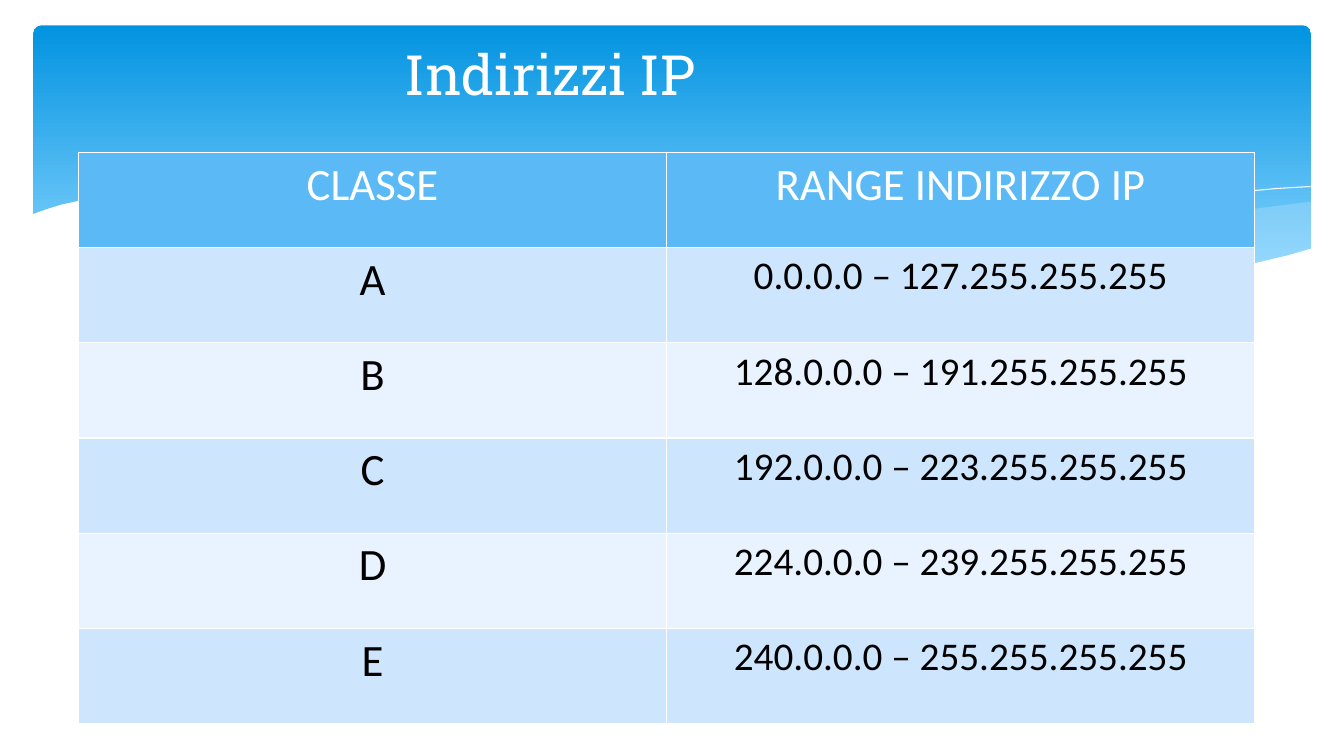
from dataclasses import dataclass
from typing import Optional

from lxml.etree import SubElement
from pptx import Presentation
from pptx.dml.color import RGBColor
from pptx.enum.shapes import MSO_SHAPE as Preset
from pptx.enum.text import MSO_ANCHOR as Anchor, PP_ALIGN as Align
from pptx.oxml import parse_xml
from pptx.oxml.ns import nsdecls, qn
from pptx.util import Cm, Pt

COLORS = {
    "white": "FFFFFF", "black": "000000", "banner_top": "0293E0",
    "banner_bottom": "83D3FE", "mist": "C6E7FC", "header": "5BBAF6",
    "odd_row": "CEE5FE", "even_row": "E8F3FF",
}
WAVE_UNIT = Cm(2.54) / 100  # wave points are hundredths of an inch


@dataclass
class Wave:
    points: list[tuple[int, int]]
    fill: Optional[str] = None
    opacity: int = 100


@dataclass
class AddressClass:
    letter: str
    ip_range: str


WAVES = [
    Wave([(1300, 200), (1246, 207), (1188, 216), (1110, 230), (1005, 248),
          (941, 257), (882, 265), (940, 271), (993, 275), (1041, 277),
          (1085, 278), (1126, 277), (1163, 274), (1196, 270), (1228, 265),
          (1257, 259), (1284, 252), (1301, 247), (1301, 200)], "mist", 29),
    Wave([(1190, 273), (1116, 265), (1034, 254), (941, 240), (839, 222),
          (778, 211), (721, 203), (669, 196), (619, 191), (560, 187),
          (506, 185), (459, 186), (418, 188), (382, 191), (431, 196),
          (483, 203), (539, 211), (599, 222), (706, 240), (802, 255),
          (887, 266), (963, 274), (1030, 277), (1090, 278), (1143, 277),
          (1190, 273)], "mist", 40),
    Wave([(412, 195), (438, 192), (470, 189), (516, 187), (577, 187),
          (625, 189), (680, 192), (742, 197), (811, 204), (886, 213),
          (970, 226), (1060, 241), (1158, 261), (1210, 272)]),
    Wave([(818, 257), (870, 246), (927, 235), (997, 223), (1075, 210),
          (1155, 199), (1213, 192), (1267, 187), (1300, 185)]),
    Wave([(1303, 246), (1279, 253), (1254, 259), (1227, 265), (1198, 269),
          (1167, 273), (1134, 275), (1097, 277), (1058, 276), (1015, 275),
          (969, 272), (918, 268), (863, 262), (804, 254), (740, 245),
          (671, 233), (596, 220), (521, 207), (453, 197), (390, 190),
          (333, 186), (282, 184), (235, 184), (194, 185), (158, 187),
          (127, 191), (101, 195), (79, 199), (61, 203), (48, 207),
          (31, 213), (31, 329), (1303, 329)], "white"),
]

ADDRESS_CLASSES = [
    AddressClass("A", "0.0.0.0 – 127.255.255.255"),
    AddressClass("B", "128.0.0.0 – 191.255.255.255"),
    AddressClass("C", "192.0.0.0 – 223.255.255.255"),
    AddressClass("D", "224.0.0.0 – 239.255.255.255"),
    AddressClass("E", "240.0.0.0 – 255.255.255.255"),
]


def rgb(name: str) -> RGBColor:
    return RGBColor.from_string(COLORS[name])


def write(frame, text: str, *, size: float, color: str, font: str = "Calibri") -> None:
    paragraph = frame.paragraphs[0]
    paragraph.alignment = Align.CENTER
    run = paragraph.add_run()
    run.text = text
    run.font.size = Pt(size)
    run.font.name = font
    run.font.color.rgb = rgb(color)


def add_banner(slide) -> None:
    banner = slide.shapes.add_shape(
        Preset.ROUNDED_RECTANGLE, Cm(0.84), Cm(0.64), Cm(32.2), Cm(6.86))
    banner.adjustments[0] = 0.03
    banner.shadow.inherit = False
    banner.line.fill.background()
    banner.fill.gradient()
    banner.fill.gradient_angle = 270
    top, bottom = banner.fill.gradient_stops
    top.color.rgb, top.position = rgb("banner_top"), 0
    bottom.color.rgb, bottom.position = rgb("banner_bottom"), 0.9


def add_wave(slide, wave: Wave) -> None:
    """Draw a filled wave, or an open white hairline if it has no fill."""
    start, *rest = wave.points
    builder = slide.shapes.build_freeform(*start, scale=WAVE_UNIT)
    builder.add_line_segments(rest, close=wave.fill is not None)
    shape = builder.convert_to_shape()
    shape.shadow.inherit = False
    if wave.fill is None:
        shape.fill.background()
        shape.line.color.rgb = rgb("white")
        shape.line.width = Cm(0)
        return
    shape.line.fill.background()
    shape.fill.solid()
    shape.fill.fore_color.rgb = rgb(wave.fill)
    if wave.opacity < 100:
        color = shape.fill._xPr.find(f".//{qn('a:srgbClr')}")
        SubElement(color, qn("a:alpha"), val=str(wave.opacity * 1000))


def add_title(slide) -> None:
    title = slide.shapes.add_textbox(Cm(1.93), Cm(0.94), Cm(23.88), Cm(1.8))
    title.text_frame.word_wrap = True
    title.text_frame.vertical_anchor = Anchor.MIDDLE
    write(title.text_frame, "Indirizzi IP", size=39.6, color="white", font="Roboto Slab")


def fill_cell(cell, text: str, *, fill: str, size: float, color: str) -> None:
    """Set a cell's text and fill, with thin white borders."""
    write(cell.text_frame, text, size=size, color=color)
    properties = cell._tc.get_or_add_tcPr()
    for side in ("lnL", "lnR", "lnT", "lnB"):
        properties.append(parse_xml(
            f'<a:{side} {nsdecls("a")} w="{Pt(1)}"><a:solidFill>'
            f'<a:srgbClr val="{COLORS["white"]}"/></a:solidFill></a:{side}>'))
    cell.fill.solid()
    cell.fill.fore_color.rgb = rgb(fill)


def add_class_table(slide) -> None:
    row_count = len(ADDRESS_CLASSES) + 1
    table = slide.shapes.add_table(
        row_count, 2, Cm(1.98), Cm(3.84), Cm(29.64), Cm(2.4 * row_count)).table
    for column, heading in enumerate(("CLASSE", "RANGE INDIRIZZO IP")):
        fill_cell(table.cell(0, column), heading, fill="header", size=32, color="white")
    for row, address in enumerate(ADDRESS_CLASSES, start=1):
        fill = "odd_row" if row % 2 else "even_row"
        fill_cell(table.cell(row, 0), address.letter, fill=fill, size=32, color="black")
        fill_cell(table.cell(row, 1), address.ip_range, fill=fill, size=28, color="black")


def main() -> None:
    presentation = Presentation()
    presentation.slide_width, presentation.slide_height = Cm(33.87), Cm(19.05)
    slide = presentation.slides.add_slide(presentation.slide_layouts[6])
    add_banner(slide)
    for wave in WAVES:
        add_wave(slide, wave)
    add_title(slide)
    add_class_table(slide)
    presentation.save("out.pptx")


if __name__ == "__main__":
    main()
